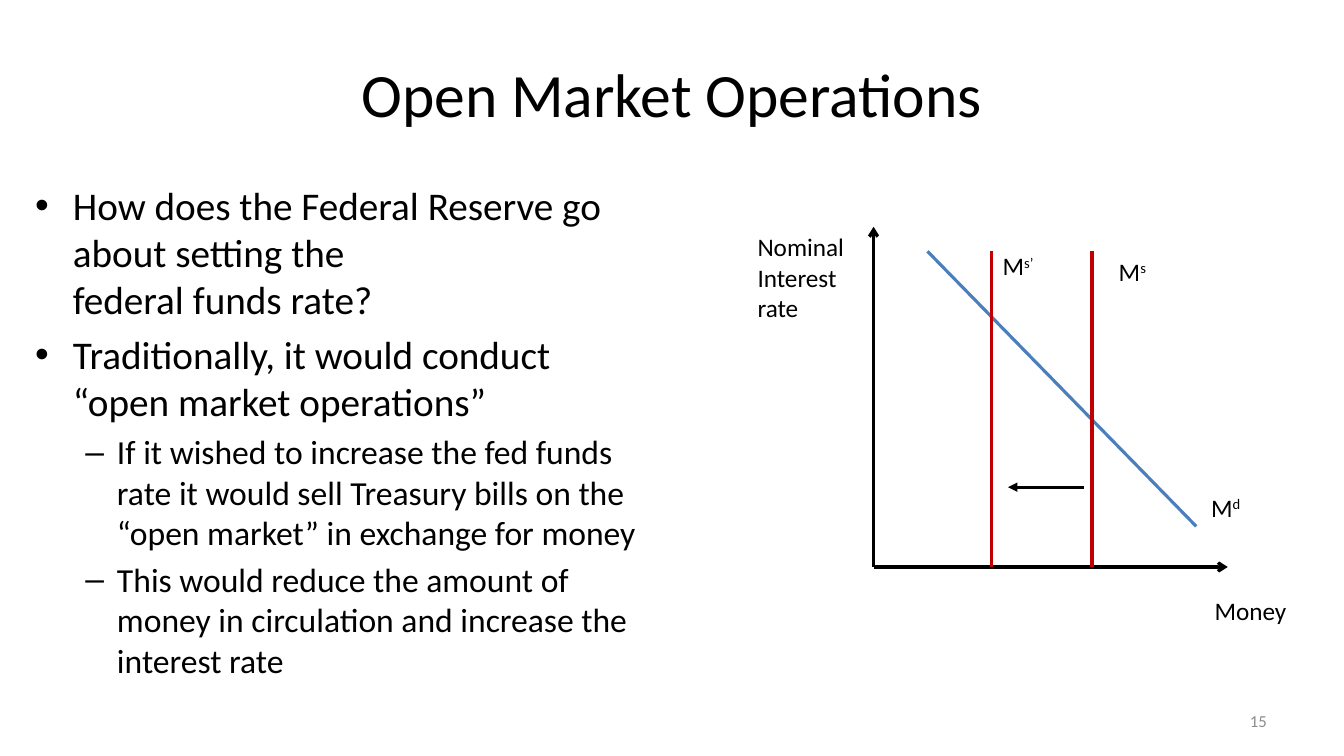
from dataclasses import dataclass

from lxml import etree
from pptx import Presentation
from pptx.dml.color import RGBColor
from pptx.enum.shapes import MSO_CONNECTOR
from pptx.enum.text import MSO_ANCHOR, PP_ALIGN
from pptx.oxml.ns import qn
from pptx.util import Pt

STRAIGHT = MSO_CONNECTOR.STRAIGHT
TOP, MIDDLE = MSO_ANCHOR.TOP, MSO_ANCHOR.MIDDLE
LEFT, CENTER, RIGHT = PP_ALIGN.LEFT, PP_ALIGN.CENTER, PP_ALIGN.RIGHT


@dataclass(frozen=True)
class Theme:
    font: str = "Calibri"
    ink: str = "000000"
    muted: str = "8C8C8C"
    demand: str = "4B7EBC"
    supply: str = "C00000"
    title: int = 44
    point: int = 28
    subpoint: int = 24
    label: int = 18
    number: int = 12
    line: float = 2.25


THEME = Theme()


def write(shape, text, size, color=THEME.ink, align=LEFT, anchor=TOP, wrap=True,
          superscript="", bullet="", level=0, indent=0, hanging=0):
    """Add one paragraph to the shape, filling its empty first paragraph if there is one."""
    frame = shape.text_frame
    frame.word_wrap = wrap
    frame.vertical_anchor = anchor
    first = not frame.text
    paragraph = frame.paragraphs[0] if first else frame.add_paragraph()
    paragraph.text = text
    paragraph.alignment = align
    paragraph.level = level
    if superscript:
        raised = paragraph.add_run()
        raised.text = superscript
        raised._r.get_or_add_rPr().set("baseline", "30000")
    if bullet:
        properties = paragraph._p.get_or_add_pPr()
        properties.set("marL", str(Pt(indent)))
        properties.set("indent", str(-Pt(hanging)))
        etree.SubElement(properties, qn("a:buFont"), typeface="Arial")
        etree.SubElement(properties, qn("a:buChar"), char=bullet)
        if not first:
            paragraph.space_before = Pt(size * 0.2)
    for run in paragraph.runs:
        run.font.name = THEME.font
        run.font.size = Pt(size)
        run.font.color.rgb = RGBColor.from_string(color)


deck = Presentation()
deck.slide_width, deck.slide_height = Pt(960), Pt(540)
slide = deck.slides.add_slide(deck.slide_layouts[5])
shapes = slide.shapes

title = shapes.title
title.left, title.top, title.width, title.height = Pt(48), Pt(21.6), Pt(864), Pt(90)
write(title, "Open Market Operations", THEME.title, align=CENTER, anchor=MIDDLE)

explanation = shapes.add_textbox(Pt(18), Pt(126), Pt(454), Pt(392))
points = [
    (0, "How does the Federal Reserve go about setting the \vfederal funds rate?"),
    (0, "Traditionally, it would conduct “open market operations”"),
    (1, "If it wished to increase the fed funds rate it would sell Treasury bills "
        "on the “open market” in exchange for money"),
    (1, "This would reduce the amount of money in circulation and increase the interest rate"),
]
point_styles = [
    dict(size=THEME.point, bullet="•", indent=27, hanging=27),
    dict(size=THEME.subpoint, bullet="–", indent=58.5, hanging=22.5),
]
for level, text in points:
    write(explanation, text, level=level, **point_styles[level])

slide_number = shapes.add_textbox(Pt(688), Pt(500.5), Pt(224), Pt(28.75))
write(slide_number, "15", THEME.number, THEME.muted, align=RIGHT, anchor=MIDDLE)

# Money market diagram: axes, demand, the two supply lines and the shift between them
origin_x, origin_y = 624, 405
curve_top = 179.5
new_supply, old_supply = 708, 780
diagram_lines = [
    (origin_x, origin_y, origin_x, 162, THEME.ink, "arrow"),
    (origin_x, origin_y, 877, origin_y, THEME.ink, "arrow"),
    (662.5, curve_top, 854.5, 376, THEME.demand, None),
    (old_supply, origin_y, old_supply, curve_top, THEME.supply, None),
    (new_supply, origin_y, new_supply, curve_top, THEME.supply, None),
    (old_supply - 6, 348, new_supply + 12, 348, THEME.ink, "triangle"),
]
for x1, y1, x2, y2, color, head in diagram_lines:
    connector = shapes.add_connector(STRAIGHT, Pt(x1), Pt(y1), Pt(x2), Pt(y2))
    connector.line.color.rgb = RGBColor.from_string(color)
    connector.line.width = Pt(THEME.line)
    if head:
        etree.SubElement(connector.line._get_or_add_ln(), qn("a:tailEnd"), type=head)
    etree.SubElement(connector._element.spPr, qn("a:effectLst"))

diagram_labels = [
    (534, 162, 85, 72.7, "Nominal Interest rate", "", True),
    (860.5, 422, 66, 29, "Money", "", False),
    (858, 348, 42, 29, "M", "d", True),
    (792, 179.5, 34.5, 29, "M", "s", False),
    (709, 175.5, 38, 29, "M", "s’", False),
]
for x, y, width, height, text, superscript, wrap in diagram_labels:
    label = shapes.add_textbox(Pt(x), Pt(y), Pt(width), Pt(height))
    write(label, text, THEME.label, superscript=superscript, wrap=wrap)

deck.save("out.pptx")
